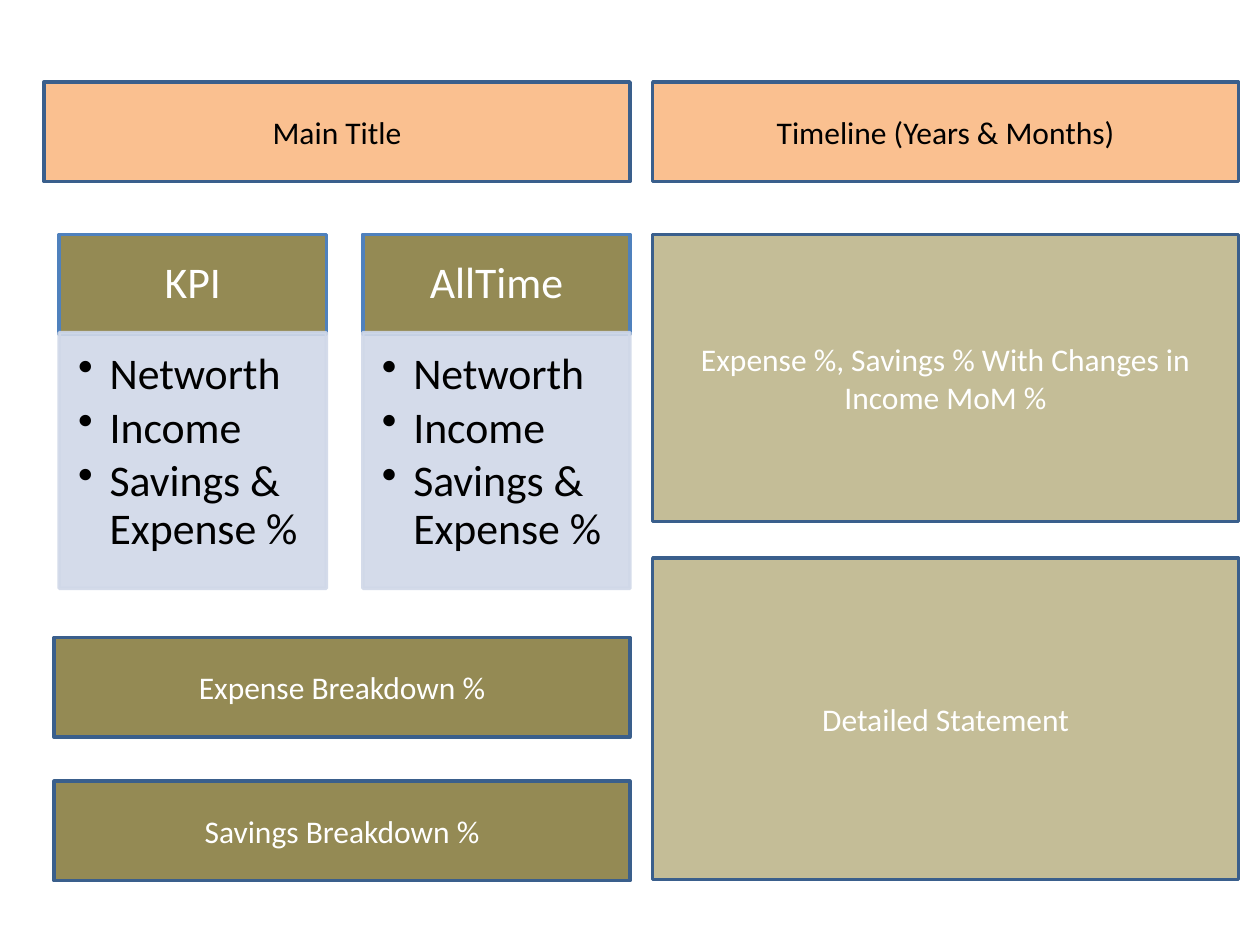
from dataclasses import dataclass

from lxml import etree
from pptx import Presentation
from pptx.dml.color import RGBColor
from pptx.enum.shapes import MSO_SHAPE
from pptx.enum.text import MSO_ANCHOR, PP_ALIGN
from pptx.oxml.ns import qn
from pptx.util import Inches, Pt

RECTANGLE = MSO_SHAPE.RECTANGLE
TOP, MIDDLE = MSO_ANCHOR.TOP, MSO_ANCHOR.MIDDLE
LEFT, CENTER = PP_ALIGN.LEFT, PP_ALIGN.CENTER


@dataclass(frozen=True)
class Theme:
    font: str = "Calibri"
    panel_size: int = 18
    card_size: int = 25
    line_width: int = 2
    black: str = "000000"
    white: str = "FFFFFF"
    peach: str = "FAC090"
    olive: str = "948A54"
    sand: str = "C4BD97"
    pale_blue: str = "D0D8E8"
    panel_line: str = "3A5F8C"
    card_line: str = "4F81BD"
    card_opacity: int = 90


THEME = Theme()

# Shared layout lengths in inches
BAR_HEIGHT = 0.79
LEFT_EDGE = 5.0
RIGHT_COLUMN, RIGHT_WIDTH = 5.18, 4.65
TITLE_TOP, CONTENT_TOP = 0.65, 1.86
CARD_LEFT, CARD_STEP, CARD_WIDTH = 0.47, 2.41, 2.12
CARD_BODY_TOP, CARD_BODY_HEIGHT = 2.64, 2.03

CARD_TITLES = ["KPI", "AllTime"]
CARD_ITEMS = ["Networth", "Income", "Savings & Expense %"]


def add_box(slide, left, top, width, height, fill, line):
    shape = slide.shapes.add_shape(
        RECTANGLE, Inches(left), Inches(top), Inches(width), Inches(height))
    shape.shadow.inherit = False
    shape.fill.solid()
    shape.fill.fore_color.rgb = RGBColor.from_string(fill)
    shape.line.color.rgb = RGBColor.from_string(line)
    shape.line.width = Pt(THEME.line_width)
    return shape


def set_opacity(shape, percent):
    """Apply one opacity to the fill and the line."""
    for color in shape._element.spPr.iter(qn("a:srgbClr")):
        etree.SubElement(color, qn("a:alpha"), val=str(percent * 1000))


def set_frame(shape, anchor, insets):
    frame = shape.text_frame
    frame.word_wrap = True
    frame.vertical_anchor = anchor
    (frame.margin_left, frame.margin_top,
     frame.margin_right, frame.margin_bottom) = map(Inches, insets)
    return frame


def write_text(paragraph, text, *, size, color, align=CENTER, spacing=None, after=None):
    paragraph.alignment = align
    paragraph.line_spacing = spacing
    paragraph.space_after = after
    run = paragraph.add_run()
    run.text = text
    run.font.name = THEME.font
    run.font.size = Pt(size)
    run.font.color.rgb = RGBColor.from_string(color)


def add_bullet(paragraph, indent=0.25):
    paragraph.level = 1
    properties = paragraph._p.get_or_add_pPr()
    properties.set("marL", str(Inches(indent)))
    properties.set("indent", str(-Inches(indent)))
    etree.SubElement(properties, qn("a:buChar"), char="•")


def add_panel(slide, text, left, top, width, height, fill, color=THEME.white):
    shape = add_box(slide, left, top, width, height, fill, THEME.panel_line)
    frame = set_frame(shape, MIDDLE, (0.1, 0.05, 0.1, 0.05))
    write_text(frame.paragraphs[0], text, size=THEME.panel_size, color=color)


def add_card(slide, title, items, left):
    # Heading
    heading = add_box(slide, left, CONTENT_TOP, CARD_WIDTH, BAR_HEIGHT,
                      THEME.olive, THEME.card_line)
    frame = set_frame(heading, MIDDLE, (0.19, 0.11, 0.19, 0.11))
    write_text(frame.paragraphs[0], title, size=THEME.card_size,
               color=THEME.white, spacing=0.9)

    # Bulleted list
    body = add_box(slide, left, CARD_BODY_TOP, CARD_WIDTH, CARD_BODY_HEIGHT,
                   THEME.pale_blue, THEME.pale_blue)
    set_opacity(body, THEME.card_opacity)
    frame = set_frame(body, TOP, (0.15, 0.15, 0.19, 0.22))
    for index, item in enumerate(items):
        paragraph = frame.add_paragraph() if index else frame.paragraphs[0]
        write_text(paragraph, item, size=THEME.card_size, color=THEME.black,
                   align=LEFT, spacing=0.9, after=Pt(THEME.card_size * 0.15))
        add_bullet(paragraph)


def main():
    presentation = Presentation()
    presentation.slide_width, presentation.slide_height = Inches(10), Inches(7.5)
    slide = presentation.slides.add_slide(presentation.slide_layouts[6])

    # Indicator cards
    for index, title in enumerate(CARD_TITLES):
        add_card(slide, title, CARD_ITEMS, CARD_LEFT + index * CARD_STEP)

    # Title bars
    for text, left in [("Main Title", LEFT_EDGE - RIGHT_WIDTH),
                       ("Timeline (Years & Months)", RIGHT_COLUMN)]:
        add_panel(slide, text, left, TITLE_TOP, RIGHT_WIDTH, BAR_HEIGHT,
                  THEME.peach, THEME.black)

    # Breakdown bars
    for text, top in [("Expense Breakdown %", 5.06), ("Savings Breakdown %", 6.2)]:
        add_panel(slide, text, 0.43, top, LEFT_EDGE - 0.43, BAR_HEIGHT, THEME.olive)

    # Detail panels
    for text, top, height in [
            ("Expense %, Savings % With Changes in Income MoM %", CONTENT_TOP, 2.28),
            ("Detailed Statement", 4.43, 2.55)]:
        add_panel(slide, text, RIGHT_COLUMN, top, RIGHT_WIDTH, height, THEME.sand)

    presentation.save("out.pptx")


main()
